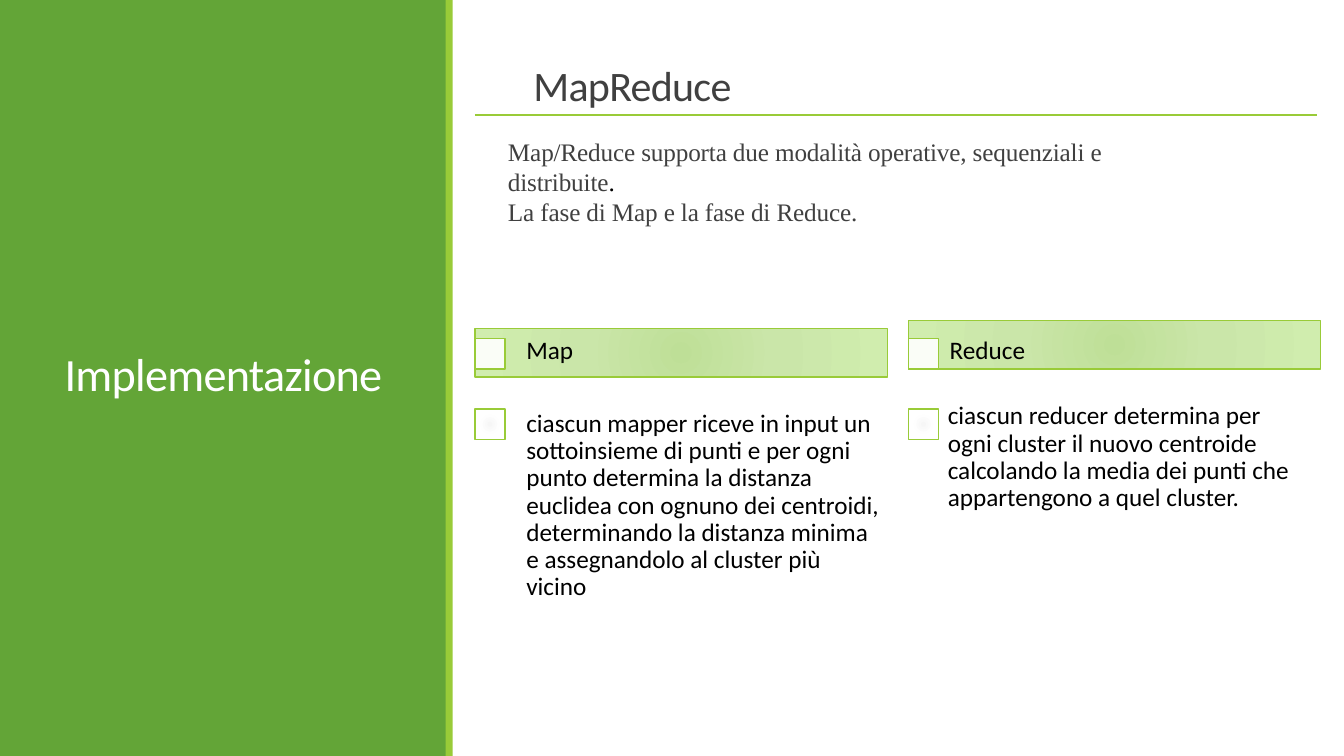
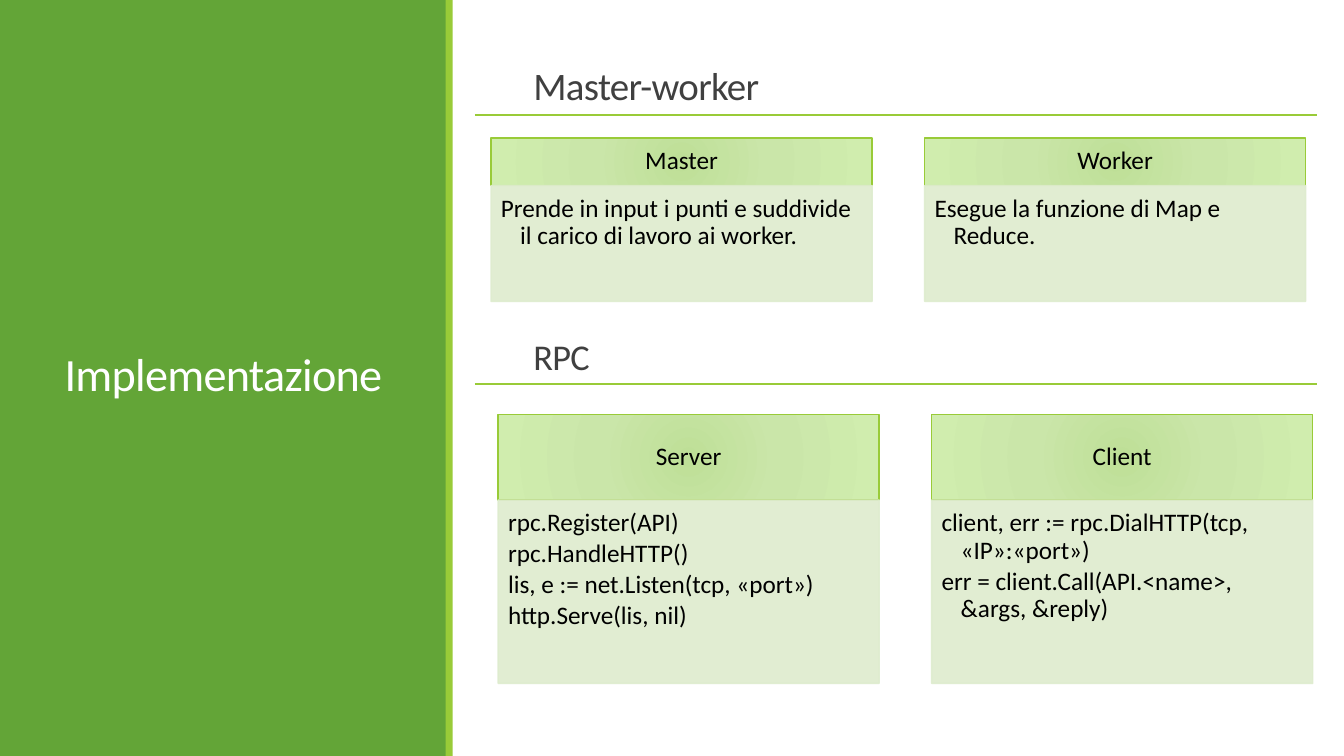
from lxml import etree
from pptx import Presentation
from pptx.dml.color import RGBColor
from pptx.enum.shapes import MSO_CONNECTOR, MSO_SHAPE
from pptx.enum.text import MSO_ANCHOR, MSO_AUTO_SIZE, PP_ALIGN
from pptx.oxml.ns import qn
from pptx.util import Inches, Pt

WHITE = RGBColor(0xFF, 0xFF, 0xFF)
BLACK = RGBColor(0x00, 0x00, 0x00)
GREY = RGBColor(0x40, 0x40, 0x40)
GREEN = RGBColor(0x63, 0xA5, 0x37)
LIME = RGBColor(0x99, 0xCB, 0x38)
PALE = RGBColor(0xDE, 0xEC, 0xCE)
BAND_STOPS = ((0, RGBColor(0xBE, 0xDF, 0x97)), (45, RGBColor(0xCA, 0xE6, 0xA9)),
              (100, RGBColor(0xD0, 0xED, 0xAE)))
BOX_STOPS = ((0, RGBColor(0xF6, 0xF6, 0xF6)), (45, RGBColor(0xFE, 0xFE, 0xFE)),
             (100, WHITE))
BODY_FONT = "Calibri"
INTRO_FONT = "Times New Roman"
COLUMN_STEP = 4.3


def add_rect(slide, left, top, width, height, fill=None, line=None):
    rect = slide.shapes.add_shape(MSO_SHAPE.RECTANGLE, Inches(left), Inches(top),
                                  Inches(width), Inches(height))
    rect.shadow.inherit = False
    if fill is not None:
        rect.fill.solid()
        rect.fill.fore_color.rgb = fill
    if line is None:
        rect.line.fill.background()
    else:
        rect.line.color.rgb = line
        rect.line.width = Pt(1)
    return rect


def set_translucent(rect, percent=90):
    for color in rect._element.spPr.iter(qn("a:srgbClr")):
        etree.SubElement(color, qn("a:alpha"), val=str(percent * 1000))


def set_radial(rect, stops):
    gradient = etree.Element(qn("a:gradFill"), rotWithShape="1")
    stop_list = etree.SubElement(gradient, qn("a:gsLst"))
    for position, color in stops:
        stop = etree.SubElement(stop_list, qn("a:gs"), pos=str(position * 1000))
        etree.SubElement(stop, qn("a:srgbClr"), val=str(color))
    path_fill = etree.SubElement(gradient, qn("a:path"), {"path": "circle"})
    etree.SubElement(path_fill, qn("a:fillToRect"),
                     dict.fromkeys("ltrb", "100000"))
    rect._element.spPr.find(qn("a:prstGeom")).addnext(gradient)


def add_radial_rect(slide, left, top, width, height, stops):
    rect = add_rect(slide, left, top, width, height, line=LIME)
    set_radial(rect, stops)
    return rect


def add_rule(slide, top):
    rule = slide.shapes.add_connector(MSO_CONNECTOR.STRAIGHT, Inches(4.71), Inches(top),
                                      Inches(13.06), Inches(top))
    rule.line.color.rgb = LIME
    rule.line.width = Pt(1)
    etree.SubElement(rule._element.spPr, qn("a:effectLst"))


def write(shape, lines, size=18, color=BLACK, font=BODY_FONT, align=PP_ALIGN.LEFT,
          anchor=MSO_ANCHOR.MIDDLE, insets=(0.1, 0.05, 0.1, 0.05), spacing=0.9,
          after=0, tracking=0, margin=0, indent=0):
    frame = shape.text_frame
    frame.word_wrap = True
    frame.auto_size = MSO_AUTO_SIZE.NONE
    frame.vertical_anchor = anchor
    (frame.margin_left, frame.margin_top,
     frame.margin_right, frame.margin_bottom) = map(Inches, insets)
    frame.text = "\n".join(lines)
    for paragraph in frame.paragraphs:
        paragraph.alignment = align
        paragraph.line_spacing = spacing
        paragraph.space_after = Pt(after)
        paragraph.font.name = font
        paragraph.font.size = Pt(size)
        paragraph.font.color.rgb = color
        properties = paragraph._p.get_or_add_pPr()
        properties.set("marL", str(Inches(margin)))
        properties.set("indent", str(Inches(indent)))
        for run in paragraph.runs:
            run._r.get_or_add_rPr().set("spc", str(round(tracking * 100)))


def add_text(slide, left, top, width, height, lines, **style):
    box = slide.shapes.add_textbox(Inches(left), Inches(top), Inches(width), Inches(height))
    write(box, lines, **style)
    return box


def add_heading(slide, top, text, size, spacing=0.7):
    add_text(slide, 5.19, top, 7.01, 0.48, [text], size=size, color=GREY,
             insets=(0, 0.05, 0, 0.05), spacing=spacing, after=2, tracking=-0.5,
             margin=0.1)
    add_rule(slide, top + 0.48)


def add_section_slide(deck):
    slide = deck.slides.add_slide(deck.slide_layouts[5])
    add_rect(slide, 0, 0, 4.43, 7.5, GREEN)
    add_rect(slide, 4.42, 0, 0.07, 7.5, LIME)
    title = slide.shapes.title
    title.left, title.top = Inches(0.54), Inches(0.66)
    title.width, title.height = Inches(3.37), Inches(6.17)
    write(title, ["Implementazione"], size=33, color=WHITE, spacing=0.85, tracking=-0.5)
    slide.shapes._spTree.append(title._element)
    return slide


def add_phase(slide, left, band_top, name, name_left, detail, detail_left, detail_top):
    add_radial_rect(slide, left, band_top, 4.09, 0.48, BAND_STOPS)
    name_box = add_rect(slide, left, 3.36, 0.3, 0.3, WHITE)
    set_translucent(name_box)
    name_box.line.color.rgb = LIME
    name_box.line.width = Pt(1)
    add_text(slide, name_left, 3.06, 2.93, 0.86, [name], insets=(0.04, 0.03, 0.04, 0.03))
    add_radial_rect(slide, left, 4.06, 0.3, 0.3, BOX_STOPS)
    add_text(slide, detail_left, detail_top, 3.81, 0.7, [detail], insets=(0.14,) * 4)


def add_card(slide, left, top, header_height, body_height, header, lines):
    header_band = add_radial_rect(slide, left, top, 3.78, header_height, BAND_STOPS)
    write(header_band, [header], align=PP_ALIGN.CENTER, insets=(0.14, 0.08, 0.14, 0.08))
    body = add_rect(slide, left, top + header_height, 3.78, body_height, PALE, PALE)
    set_translucent(body)
    write(body, lines, anchor=MSO_ANCHOR.TOP, insets=(0.1, 0.1, 0.14, 0.16),
          after=2.7, margin=0.19, indent=-0.19)


def add_card_row(slide, left, top, header_height, body_height, cards):
    for column, (header, lines) in enumerate(cards):
        add_card(slide, left + column * COLUMN_STEP, top, header_height, body_height,
                 header, lines)


def build_map_reduce(deck):
    slide = add_section_slide(deck)
    add_heading(slide, 0.66, "MapReduce", 30)
    intro = add_text(
        slide, 4.94, 1.3, 7.1, 1.01,
        ["Map/Reduce supporta due modalità operative, sequenziali e distribuite",
         "La fase di Map e la fase di Reduce."],
        color=GREY, font=INTRO_FONT, anchor=MSO_ANCHOR.TOP, spacing=1.0, tracking=-0.1)
    full_stop = intro.text_frame.paragraphs[0].add_run()
    full_stop.text = "."
    full_stop.font.color.rgb = BLACK
    add_phase(slide, 4.71, 3.26, "Map", 5.18,
              "ciascun mapper riceve in input un sottoinsieme di punti e per ogni punto "
              "determina la distanza euclidea con ognuno dei centroidi, determinando la "
              "distanza minima e assegnandolo al cluster più vicino", 5.08, 4.67)
    add_phase(slide, 4.71 + COLUMN_STEP, 3.18, "Reduce", 9.38,
              "ciascun reducer determina per ogni cluster il nuovo centroide calcolando "
              "la media dei punti che appartengono a quel cluster.", 9.26, 4.19)


def build_master_worker(deck):
    slide = add_section_slide(deck)
    add_heading(slide, 0.66, "Master-worker", 27.8)
    add_card_row(slide, 4.87, 1.37, 0.47, 1.15, [
        ("Master", ["Prende in input i punti e suddivide il carico di lavoro ai worker."]),
        ("Worker", ["Esegue la funzione di Map e Reduce."]),
    ])
    add_heading(slide, 3.33, "RPC", 25.9, spacing=0.8)
    add_card_row(slide, 4.94, 4.11, 0.85, 1.82, [
        ("Server", ["rpc.Register(API)", "rpc.HandleHTTP()",
                    "lis, e := net.Listen(tcp, «port»)", "http.Serve(lis, nil)"]),
        ("Client", ["client, err := rpc.DialHTTP(tcp, «IP»:«port»)",
                    "err = client.Call(API.<name>, &args, &reply)"]),
    ])


def main():
    deck = Presentation()
    deck.slide_width, deck.slide_height = Inches(13.33), Inches(7.5)
    build_map_reduce(deck)
    build_master_worker(deck)
    deck.save("out.pptx")


if __name__ == "__main__":
    main()
